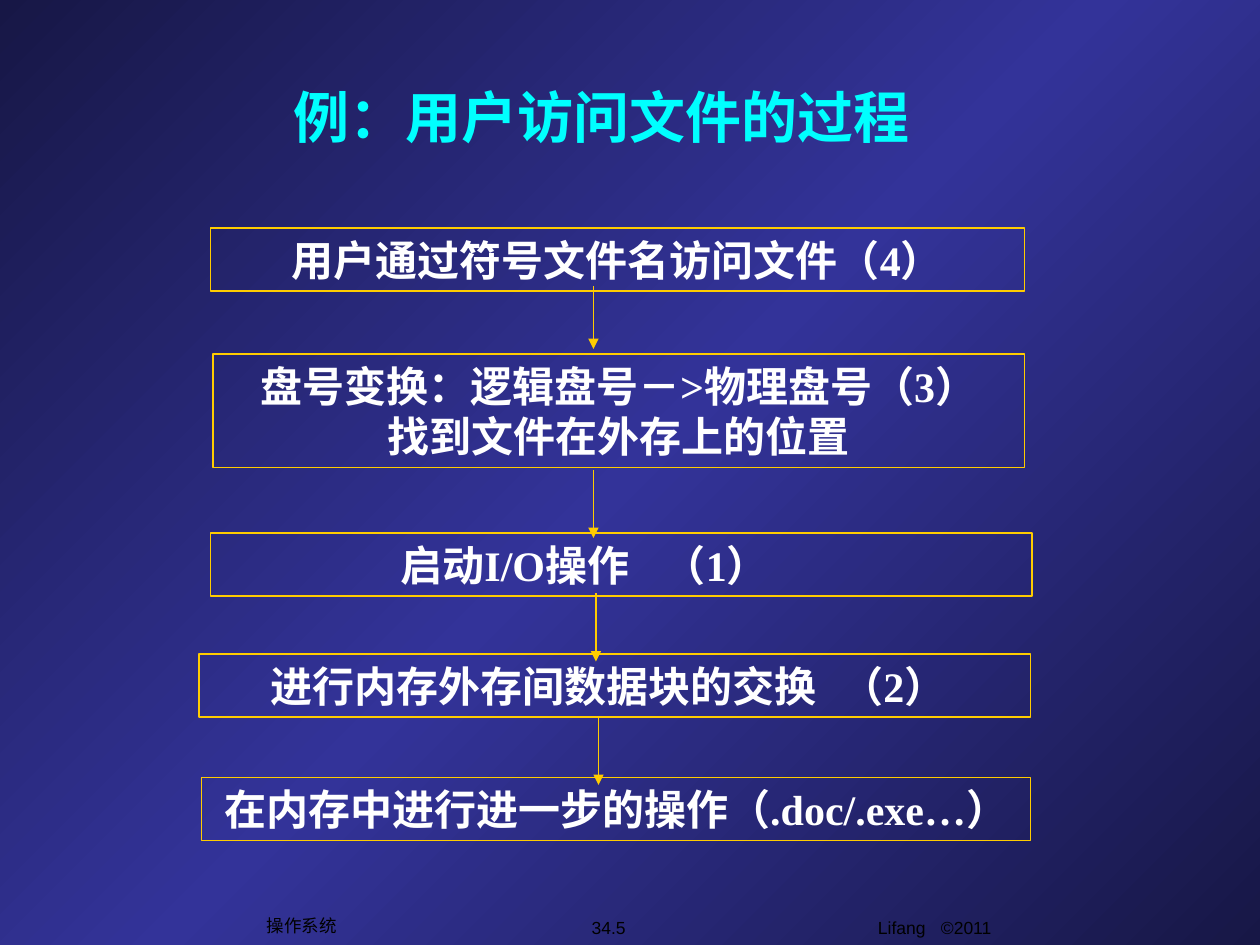
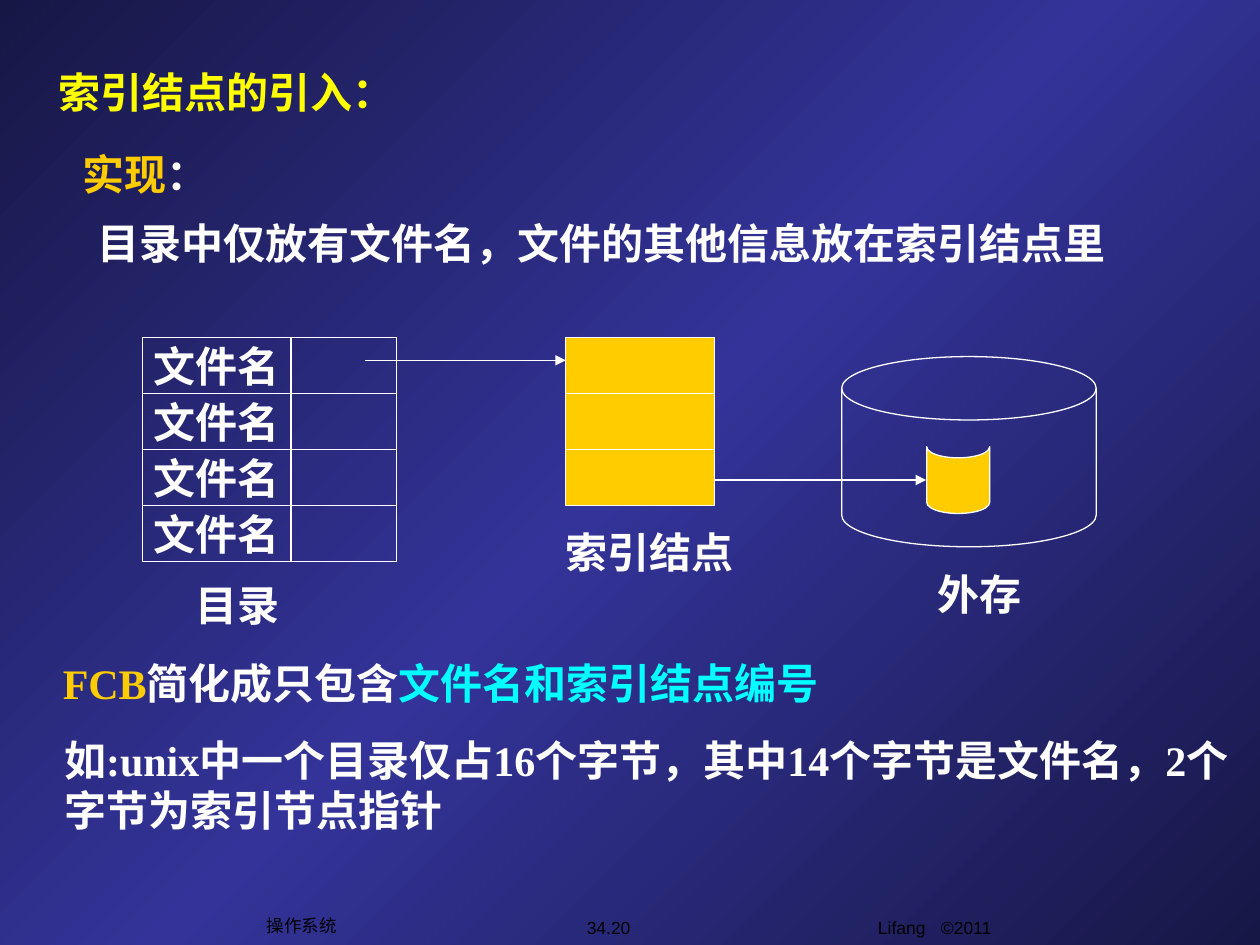
from copy import deepcopy

from lxml.etree import SubElement
from pptx import Presentation
from pptx.dml.color import RGBColor
from pptx.enum.shapes import MSO_CONNECTOR, MSO_SHAPE
from pptx.enum.text import MSO_ANCHOR as ANCHOR, PP_ALIGN as ALIGN
from pptx.oxml.ns import qn
from pptx.util import Inches, Pt

COLORS = {
    "navy": "171746", "indigo": "333399", "gold": "FFCC00", "white": "FFFFFF",
    "cyan": "00FFFF", "yellow": "FFFF00", "black": "000000",
}
SERIF, SANS, CJK = "Times New Roman", "Arial", "Noto Sans CJK SC"
SLIDE_W, SLIDE_H = Inches(10), Inches(7.5)
COLS, ROWS = 100, 75


def grid(col, row):
    return round(SLIDE_W * col / COLS), round(SLIDE_H * row / ROWS)


def rgb(name):
    return RGBColor.from_string(COLORS[name])


def style_run(run, color, size, font, bold):
    run.font.size, run.font.bold, run.font.name = Pt(size), bold, font
    run.font.color.rgb = rgb(color)
    SubElement(run._r.get_or_add_rPr(), qn("a:ea")).set("typeface", CJK)


def set_tab(paragraph, first_indent, stop):
    properties = paragraph._p.get_or_add_pPr()
    properties.set("marL", "0")
    properties.set("indent", str(grid(first_indent, 0)[0]))
    tab = SubElement(SubElement(properties, qn("a:tabLst")), qn("a:tab"))
    tab.set("pos", str(grid(stop, 0)[0]))
    tab.set("algn", "l")


def write(shape, lines, color="white", size=24, font=SERIF, bold=True,
          align=ALIGN.LEFT, anchor=ANCHOR.TOP, wrap=True, tab=None):
    frame = shape.text_frame
    frame.word_wrap, frame.vertical_anchor = wrap, anchor
    for index, line in enumerate(lines):
        paragraph = frame.add_paragraph() if index else frame.paragraphs[0]
        if tab:
            set_tab(paragraph, *tab)
        paragraph.alignment = ALIGN.LEFT if tab else align
        parts = [(line, color)] if isinstance(line, str) else line
        for words, part_color in parts:
            run = paragraph.add_run()
            run.text = words
            style_run(run, part_color, size, font, bold)


def add_text(slide, col, row, width, height, *lines, **style):
    label = slide.shapes.add_textbox(*grid(col, row), *grid(width, height))
    write(label, lines, **style)
    return label


def add_figure(slide, col, row, width, height, line="white", fill=None,
               kind=MSO_SHAPE.RECTANGLE):
    figure = slide.shapes.add_shape(kind, *grid(col, row), *grid(width, height))
    figure.shadow.inherit = False
    if fill:
        figure.fill.solid()
        figure.fill.fore_color.rgb = rgb(fill)
    else:
        figure.fill.background()
    figure.line.color.rgb, figure.line.width = rgb(line), Pt(0.75)
    return figure


def add_arrow(slide, start, end, color="white"):
    arrow = slide.shapes.add_connector(
        MSO_CONNECTOR.STRAIGHT, *grid(*start), *grid(*end))
    arrow.line.color.rgb, arrow.line.width = rgb(color), Pt(0.75)
    SubElement(arrow.line._get_or_add_ln(), qn("a:tailEnd")).set("type", "triangle")
    SubElement(arrow._element.spPr, qn("a:effectLst"))


def paint_background(slide):
    fill = slide.background.fill
    fill.gradient()
    fill.gradient_angle = 135
    first = fill.gradient_stops[0]._gs
    first.addnext(deepcopy(first))
    shades = [("navy", 0), ("indigo", 0.5), ("navy", 1)]
    for stop, (color, position) in zip(fill.gradient_stops, shades):
        stop.color.rgb, stop.position = rgb(color), position


def start_slide(deck, page):
    slide = deck.slides.add_slide(deck.slide_layouts[6])
    paint_background(slide)
    footer = dict(color="black", size=10, font=SANS, bold=False)
    middle = dict(align=ALIGN.CENTER, anchor=ANCHOR.MIDDLE, wrap=False)
    add_text(slide, 68.7, 72.3, 20, 2.7, "Lifang\t©2011", tab=(0, 4.9), **footer)
    add_text(slide, 43.2, 72.3, 10.2, 2.7, page, **footer, **middle)
    add_text(slide, 20.2, 72.1, 7.5, 2.7, "操作系统", **footer, **middle)
    return slide


def build_access_steps(deck):
    slide = start_slide(deck, "34.5")
    title = add_text(slide, 6.9, 5.6, 81.7, 6.3, "例：用户访问文件的过程", color="cyan",
                     size=32, font=CJK, align=ALIGN.CENTER, anchor=ANCHOR.BOTTOM)
    title.text_frame.margin_top = title.text_frame.margin_bottom = 0
    steps = [
        (16.7, 18.1, 64.6, 5, ["用户通过符号文件名访问文件（4）"], None),
        (16.9, 28.1, 64.4, 9,
         ["盘号变换：逻辑盘号－>物理盘号（3）", "找到文件在外存上的位置"], None),
        (16.7, 42.3, 65.2, 5, ["启动I/O操作\t（1）"], (14.1, 36.1)),
        (15.8, 51.9, 66, 5, ["进行内存外存间数据块的交换\t（2）"], (4.7, 49.4)),
        (16, 61.7, 65.8, 5, ["在内存中进行进一步的操作（.doc/.exe…）"], None),
    ]
    for col, row, width, height, lines, tab in steps:
        step = add_figure(slide, col, row, width, height, line="gold")
        write(step, lines, align=ALIGN.CENTER, tab=tab)
    for col, top, bottom in [(47.1, 22.7, 27.7), (47.1, 37.3, 42.7),
                             (47.3, 47.1, 52.5), (47.5, 56.9, 62.3)]:
        add_arrow(slide, (col, top), (col, bottom), "gold")


def build_index_node(deck):
    slide = start_slide(deck, "34.20")
    add_text(slide, 3.65, 4.8, 55.5, 5, "索引结点的引入：", color="yellow")
    add_text(slide, 5.6, 11.3, 13.5, 5, [("实现", "gold"), ("：", "white")])
    add_text(slide, 6.75, 16.75, 84, 5,
             "目录中仅放有文件名，文件的其他信息放在索引结点里")

    top, cell_h, name_w, pointer_w = 26.8, 4.44, 11.8, 8.4
    directory, node = 11.3, 44.9
    for index in range(4):
        row = top + index * cell_h
        name = add_figure(slide, directory, row, name_w, cell_h)
        write(name, ["文件名"], align=ALIGN.CENTER, anchor=ANCHOR.MIDDLE, wrap=False)
        add_figure(slide, directory + name_w, row, pointer_w, cell_h)
    for index in range(3):
        add_figure(slide, node, top + index * cell_h, name_w, cell_h, fill="gold")

    add_figure(slide, 66.8, 28.3, 20.2, 15.1, kind=MSO_SHAPE.FLOWCHART_MAGNETIC_DISK)
    stored_file = add_figure(slide, 73.4, 35.6, 5.3, 5, fill="gold",
                             kind=MSO_SHAPE.FLOWCHART_STORED_DATA)
    stored_file.rotation = 270
    add_arrow(slide, (29, 28.6), (node, 28.6))
    add_arrow(slide, (node + name_w, 38.1), (73.5, 38.1))

    for col, row, width, caption in [(43.9, 41.3, 18, "索引结点"),
                                     (14.5, 45.5, 12, "目录"),
                                     (73.4, 44.6, 12, "外存")]:
        add_text(slide, col, row, width, 5, caption)
    add_text(slide, 4, 51.7, 92.6, 5,
             [("FCB", "gold"), ("简化成只包含", "white"), ("文件名和索引结点编号", "cyan")])
    add_text(slide, 4.1, 57.8, 95.9, 9,
             "如:unix中一个目录仅占16个字节，其中14个字节是文件名，2个字节为索引节点指针")


def main():
    deck = Presentation()
    deck.slide_width, deck.slide_height = SLIDE_W, SLIDE_H
    build_access_steps(deck)
    build_index_node(deck)
    deck.save("out.pptx")


if __name__ == "__main__":
    main()
